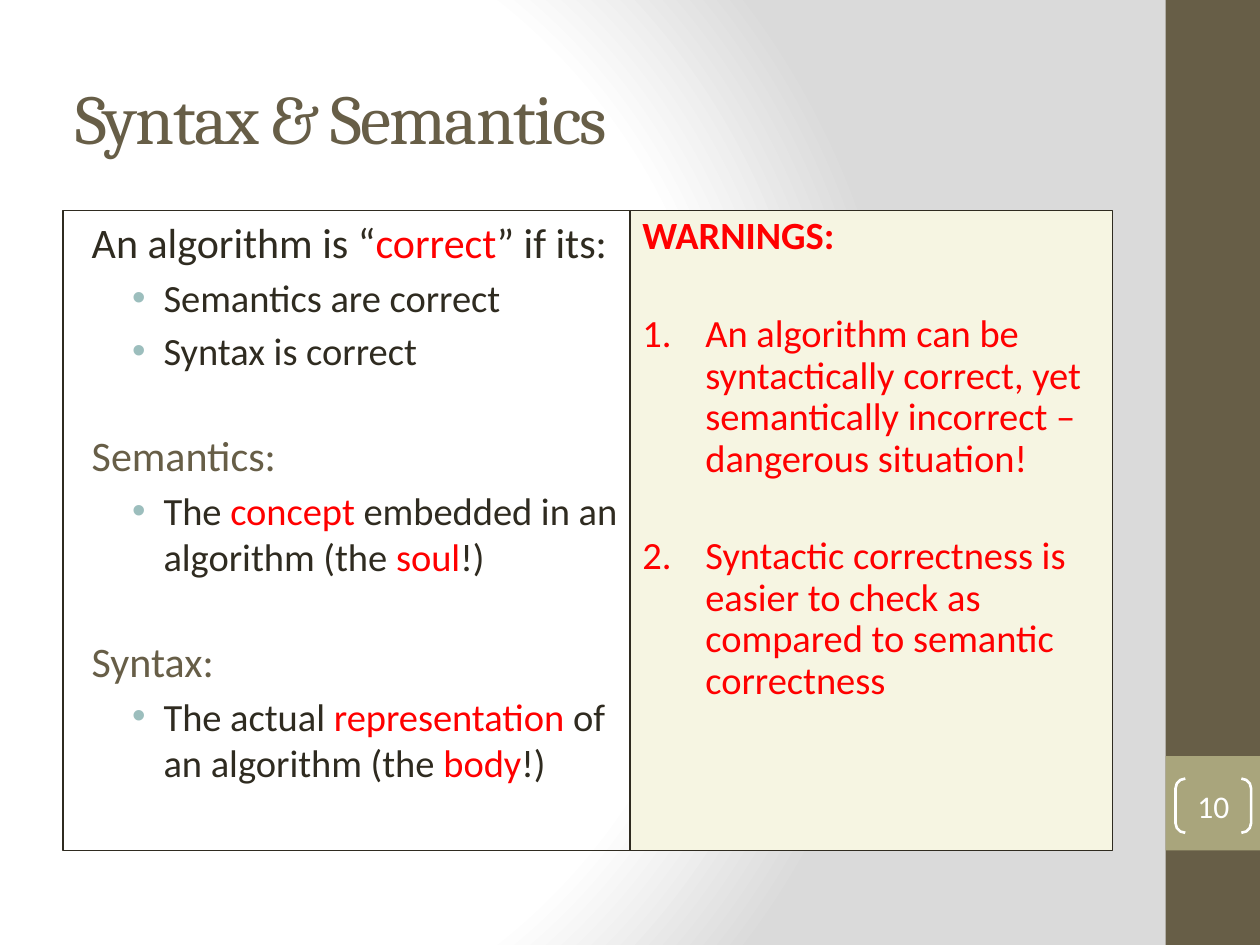
"""Build the "Syntax & Semantics" lecture slide."""
from dataclasses import dataclass

from pptx import Presentation
from pptx.dml.color import RGBColor
from pptx.enum.shapes import MSO_SHAPE as Preset
from pptx.enum.text import MSO_ANCHOR as Anchor, PP_ALIGN as Align
from pptx.oxml import parse_xml
from pptx.oxml.ns import nsdecls
from pptx.util import Inches, Pt


@dataclass(frozen=True)
class Theme:
    ink: str = "2F2B20"
    brown: str = "675E47"
    olive: str = "A9A57C"
    cream: str = "F6F5E2"
    bullet: str = "9CBEBD"
    alert: str = "FF0000"
    white: str = "FFFFFF"
    shade: str = "DADADA"
    body_font: str = "Calibri"
    title_font: str = "Cambria"
    title: int = 40
    heading: int = 24
    item: int = 22
    number: int = 18
    item_gap: int = 4
    section_gap: int = 32


class SlideBuilder:
    def __init__(self, slide, theme):
        self.slide = slide
        self.theme = theme

    def background(self):
        stops = "".join(
            f'<a:gs pos="{position * 1000}"><a:srgbClr val="{color}"/></a:gs>'
            for position, color in [(0, self.theme.white), (75, self.theme.white), (100, self.theme.shade)]
        )
        self.slide.element.cSld.insert(0, parse_xml(
            f'<p:bg {nsdecls("p", "a")}><p:bgPr><a:gradFill rotWithShape="1"><a:gsLst>{stops}</a:gsLst>'
            '<a:path path="circle"><a:fillToRect l="20000" t="50000" r="100000" b="50000"/></a:path>'
            '</a:gradFill><a:effectLst/></p:bgPr></p:bg>'
        ))

    def box(self, bounds, fill=None, line=None, width=0.75, preset=Preset.RECTANGLE):
        shape = self.slide.shapes.add_shape(preset, *map(Inches, bounds))
        shape.shadow.inherit = False
        if fill:
            shape.fill.solid()
            shape.fill.fore_color.rgb = RGBColor.from_string(fill)
        else:
            shape.fill.background()
        if line:
            shape.line.color.rgb = RGBColor.from_string(line)
            shape.line.width = Pt(width)
        else:
            shape.line.fill.background()
        self.frame(shape, vertical_anchor=Anchor.TOP)
        return shape

    def text_box(self, bounds):
        return self.slide.shapes.add_textbox(*map(Inches, bounds))

    def frame(self, shape, **settings):
        for name, value in {"word_wrap": True, **settings}.items():
            setattr(shape.text_frame, name, value)

    def paragraph(self, shape, runs, size, indent=(0, 0), marker=None, font=None, bold=False, **layout):
        text_frame = shape.text_frame
        first = text_frame.paragraphs[0]
        paragraph = text_frame.add_paragraph() if first.runs else first
        for name, value in {"alignment": Align.LEFT, **layout}.items():
            setattr(paragraph, name, value)
        properties = paragraph._p.get_or_add_pPr()
        for name, value in zip(("marL", "indent"), indent):
            properties.set(name, str(Inches(value)))
        for element in marker or []:
            properties.append(parse_xml(element))
        values = {"size": Pt(size), "name": font or self.theme.body_font, "bold": bold}
        for text, color in runs:
            run = paragraph.add_run()
            run.text = text
            for name, value in values.items():
                setattr(run.font, name, value)
            run.font.color.rgb = RGBColor.from_string(color)
        return paragraph

    def heading(self, shape, runs, gap=0):
        self.paragraph(shape, runs, self.theme.heading, (0.38, -0.25), space_before=Pt(gap))

    def bullet(self, shape, runs):
        marker = [
            f'<a:buClr {nsdecls("a")}><a:srgbClr val="{self.theme.bullet}"/></a:buClr>',
            f'<a:buFont {nsdecls("a")} typeface="Arial"/>',
            f'<a:buChar {nsdecls("a")} char="•"/>',
        ]
        self.paragraph(shape, runs, self.theme.item, (0.7, -0.25), marker,
                       space_before=Pt(self.theme.item_gap))

    def numbered(self, shape, text):
        marker = [f'<a:buFont {nsdecls("a")} typeface="+mj-lt"/>',
                  f'<a:buAutoNum {nsdecls("a")} type="arabicPeriod"/>']
        self.paragraph(shape, [(text, self.theme.alert)], self.theme.item, (0.5, -0.5), marker,
                       space_before=Pt(self.theme.section_gap), line_spacing=0.9)


def main():
    presentation = Presentation()
    presentation.slide_width, presentation.slide_height = Inches(10), Inches(7.5)
    theme = Theme()
    builder = SlideBuilder(presentation.slides.add_slide(presentation.slide_layouts[6]), theme)
    ink, alert = theme.ink, theme.alert

    builder.background()
    builder.box((9.25, 0, 0.75, 7.5), theme.brown)
    builder.box((9.25, 6, 0.75, 0.75), theme.olive)

    definitions = builder.box((0.5, 1.67, 4.5, 5.08), line=ink)
    sections = [
        ([("An algorithm is “", ink), ("correct", alert), ("” if its:", ink)],
         [[("Semantics are correct", ink)], [("Syntax is correct", ink)]]),
        ([("Semantics:", theme.brown)],
         [[("The ", ink), ("concept ", alert), ("embedded in an algorithm (the ", ink),
           ("soul", alert), ("!)", ink)]]),
        ([("Syntax:", theme.brown)],
         [[("The actual ", ink), ("representation ", alert), ("of an algorithm (the ", ink),
           ("body", alert), ("!)", ink)]]),
    ]
    for index, (heading, bullets) in enumerate(sections):
        builder.heading(definitions, heading, theme.section_gap if index else 0)
        for runs in bullets:
            builder.bullet(definitions, runs)

    warnings = builder.box((5, 1.67, 3.83, 5.08), theme.cream, ink)
    builder.paragraph(warnings, [("WARNINGS:", alert)], theme.item, bold=True, line_spacing=0.9)
    for text in (
        "An algorithm can be syntactically correct, yet semantically incorrect – dangerous situation!",
        "Syntactic correctness is easier to check as compared to semantic correctness",
    ):
        builder.numbered(warnings, text)

    page = builder.box((9.33, 6.18, 0.6, 0.43), line=theme.white, width=1.5, preset=Preset.DOUBLE_BRACKET)
    page.adjustments[0] = 0.18
    builder.frame(page, vertical_anchor=Anchor.MIDDLE, margin_left=0, margin_right=0,
                  margin_top=0, margin_bottom=0)
    builder.paragraph(page, [("10", theme.white)], theme.number, alignment=Align.CENTER)

    title = builder.text_box((0.5, 0.3, 8.33, 1.25))
    builder.frame(title, vertical_anchor=Anchor.MIDDLE)
    paragraph = builder.paragraph(title, [("Syntax & Semantics", theme.brown)], theme.title,
                                  font=theme.title_font)
    paragraph.runs[0]._r.get_or_add_rPr().set("spc", "-100")

    presentation.save("out.pptx")


if __name__ == "__main__":
    main()
